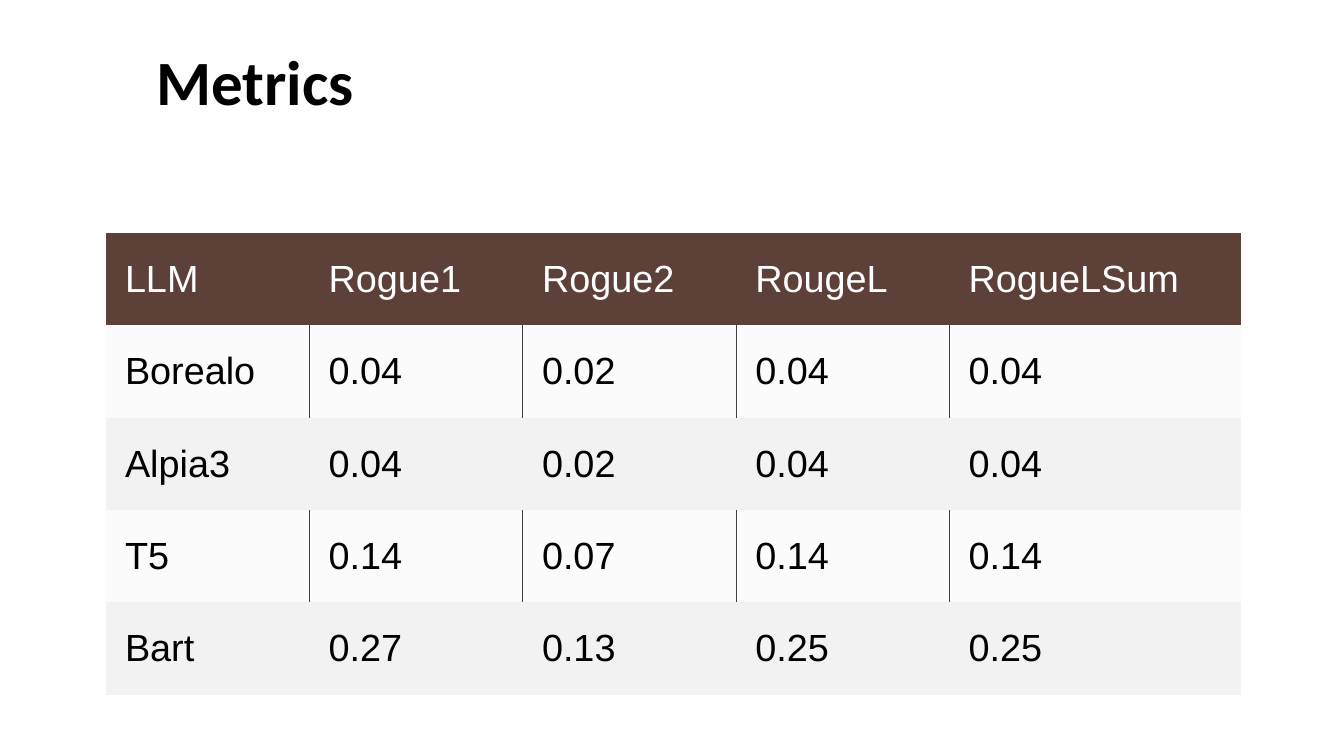
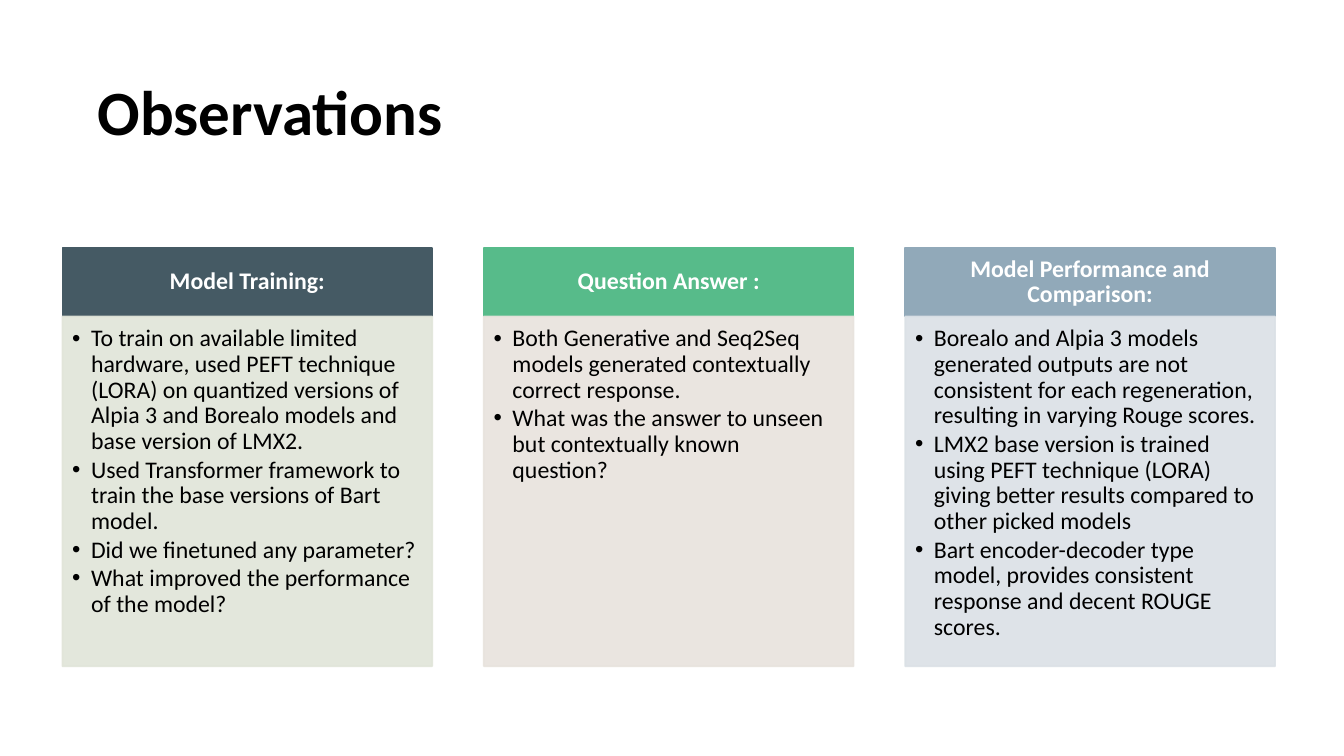
from dataclasses import dataclass

from lxml.etree import SubElement
from pptx import Presentation
from pptx.dml.color import RGBColor
from pptx.enum.shapes import MSO_SHAPE
from pptx.enum.text import MSO_ANCHOR, MSO_AUTO_SIZE, PP_ALIGN
from pptx.oxml import parse_xml
from pptx.oxml.ns import nsdecls, qn
from pptx.util import Pt


@dataclass(frozen=True)
class Theme:
    head: str = "Calibri"
    grid: str = "Arial"
    black: str = "000000"
    white: str = "FFFFFF"
    brown: str = "5D4037"
    grey: str = "F2F2F2"
    rule: str = "3F3F3F"
    title: int = 45
    cell: int = 27
    text: int = 17


theme = Theme()


def write(frame, lines, box, para, font, color):
    """Fill a text frame, applying format values to frame, paragraphs and fonts."""
    for name, value in box.items():
        setattr(frame, name, value)
    for i, line in enumerate(lines):
        p = frame.paragraphs[0] if i == 0 else frame.add_paragraph()
        p.text = line
        for target, values in ((p, para), (p.font, font)):
            for name, value in values.items():
                setattr(target, name, value)
        p.font.color.rgb = RGBColor.from_string(color)


def fade(props, percent):
    """Make every colour below an XML element partly transparent."""
    for node in props.iter(qn("a:srgbClr")):
        SubElement(node, qn("a:alpha")).set("val", str(percent * 1000))


deck = Presentation()
deck.slide_width, deck.slide_height = Pt(960), Pt(540)

# Titles
titles = [
    ("Metrics", (108, 27.4, 790.6, 69), MSO_ANCHOR.MIDDLE),
    ("Observations", (66.2, 23.8, 774, 85.7), MSO_ANCHOR.BOTTOM),
]
pad = dict.fromkeys(["margin_left", "margin_right", "margin_top", "margin_bottom"], Pt(3.6))
slides = []
for words, place, anchor in titles:
    slide = deck.slides.add_slide(deck.slide_layouts[5])
    title = slide.shapes.title
    for side, size in zip(("left", "top", "width", "height"), place):
        setattr(title, side, Pt(size))
    write(
        title.text_frame, [words],
        {**pad, "vertical_anchor": anchor, "word_wrap": True, "auto_size": MSO_AUTO_SIZE.NONE},
        {"alignment": PP_ALIGN.LEFT, "line_spacing": 0.85},
        {"name": theme.head, "size": Pt(theme.title), "bold": True},
        theme.black,
    )
    slides.append(slide)
metrics, notes = slides

# Metrics table
rows = [
    ["LLM", "Rogue1", "Rogue2", "RougeL", "RogueLSum"],
    ["Borealo", "0.04", "0.02", "0.04", "0.04"],
    ["Alpia3", "0.04", "0.02", "0.04", "0.04"],
    ["T5", "0.14", "0.07", "0.14", "0.14"],
    ["Bart", "0.27", "0.13", "0.25", "0.25"],
]
widths = [145.5, 152.4, 152.4, 152.4, 208]
height = 66
table = metrics.shapes.add_table(
    len(rows), len(widths), Pt(75.6), Pt(166.4), Pt(sum(widths)), Pt(height * len(rows))
).table
plain = "{2D5ABB26-0587-4C30-8999-92F81FD0307C}"
table._tbl.tblPr.find(qn("a:tableStyleId")).text = plain
for col, width in zip(table.columns, widths):
    col.width = Pt(width)

inset = {name: Pt(13.7) for name in pad}
for r, row in enumerate(rows):
    table.rows[r].height = Pt(height)
    for c, words in enumerate(row):
        cell = table.cell(r, c)
        for name, value in {**inset, "vertical_anchor": MSO_ANCHOR.MIDDLE}.items():
            setattr(cell, name, value)
        write(
            cell.text_frame, [words], {}, {},
            {"name": theme.grid, "size": Pt(theme.cell), "bold": False},
            theme.black if r else theme.white,
        )
        cell.fill.solid()
        cell.fill.fore_color.rgb = RGBColor.from_string(theme.grey if r else theme.brown)
        if r % 2:
            props = cell._tc.get_or_add_tcPr()
            fade(props, 30)
            edges = ["lnL"] * (c > 0) + ["lnR"] * (c < len(row) - 1)
            for i, edge in enumerate(edges):
                props.insert(i, parse_xml(
                    f'<a:{edge} {nsdecls("a")} w="{Pt(0.75)}"><a:solidFill>'
                    f'<a:srgbClr val="{theme.rule}"/></a:solidFill></a:{edge}>'
                ))

# Observation cards
cards = [
    ("Model Training:", "455A64", "E1E5D9", [
        "To train on available limited hardware, used PEFT technique (LORA) on quantized "
        "versions of Alpia 3 and Borealo models and base version of LMX2.",
        "Used Transformer framework to train the base versions of Bart model.",
        "Did we finetuned any parameter?",
        "What improved the performance of the model?",
    ]),
    ("Question Answer :", "57BB8A", "E8E3DD", [
        "Both Generative and Seq2Seq models generated contextually correct response.",
        "What was the answer to unseen but contextually known question?",
    ]),
    ("Model Performance and Comparison:", "91A9B9", "DBE1E6", [
        "Borealo and Alpia 3 models generated outputs are not consistent for each "
        "regeneration, resulting in varying Rouge scores.",
        "LMX2 base version is trained using PEFT technique (LORA) giving better results "
        "compared to other picked models",
        "Bart encoder-decoder type model, provides consistent response and decent ROUGE scores.",
    ]),
]
left, step, wide = 44.6, 301, 264.2
top, band, deep = 177.1, 49, 249.8
head = {
    "margin_left": Pt(10), "margin_right": Pt(10), "margin_top": Pt(0), "margin_bottom": Pt(0),
    "vertical_anchor": MSO_ANCHOR.MIDDLE, "word_wrap": True,
}
body = {
    "margin_left": Pt(7), "margin_right": Pt(10), "margin_top": Pt(7), "margin_bottom": Pt(7),
    "vertical_anchor": MSO_ANCHOR.TOP, "word_wrap": True,
}
font = {"name": theme.head, "size": Pt(theme.text)}
for i, (name, dark, light, points) in enumerate(cards):
    boxes = []
    for y, high, color in ((top, band, dark), (top + band, deep, light)):
        box = notes.shapes.add_shape(
            MSO_SHAPE.RECTANGLE, Pt(left + i * step), Pt(y), Pt(wide), Pt(high)
        )
        box.shadow.inherit = False
        box.fill.solid()
        for part in (box.fill.fore_color, box.line.color):
            part.rgb = RGBColor.from_string(color)
        box.line.width = Pt(1.25)
        boxes.append(box)
    label, panel = boxes
    fade(panel._element.spPr, 90)
    write(
        label.text_frame, [name], head,
        {"alignment": PP_ALIGN.CENTER, "line_spacing": 0.9}, {**font, "bold": True}, theme.white,
    )
    write(
        panel.text_frame, points, body,
        {"alignment": PP_ALIGN.LEFT, "line_spacing": 0.9, "space_before": Pt(2)},
        font, theme.black,
    )
    panel.text_frame.paragraphs[0].space_before = Pt(0)
    for p in panel.text_frame.paragraphs:
        props = p._p.get_or_add_pPr()
        props.set("marL", str(Pt(13.5)))
        props.set("indent", str(-Pt(13.5)))
        SubElement(props, qn("a:buFont")).set("typeface", theme.grid)
        SubElement(props, qn("a:buChar")).set("char", "•")

deck.save("out.pptx")
